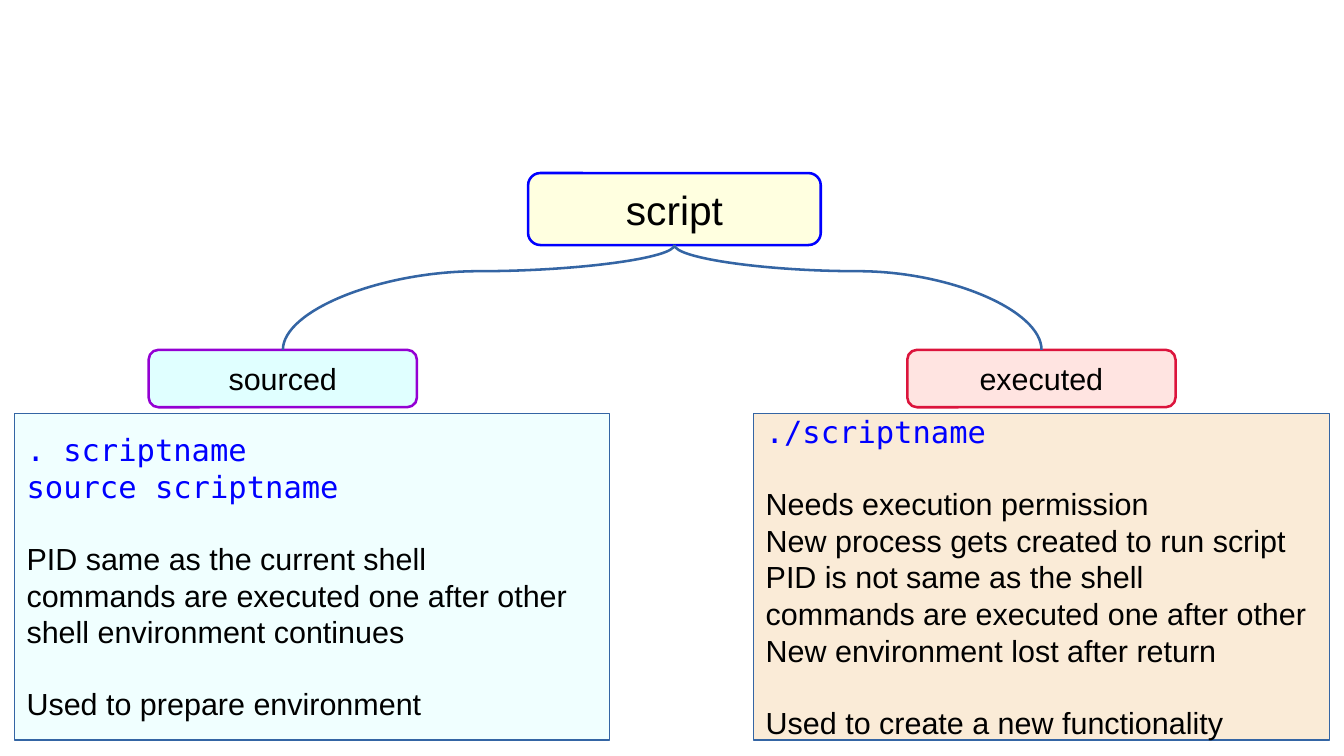
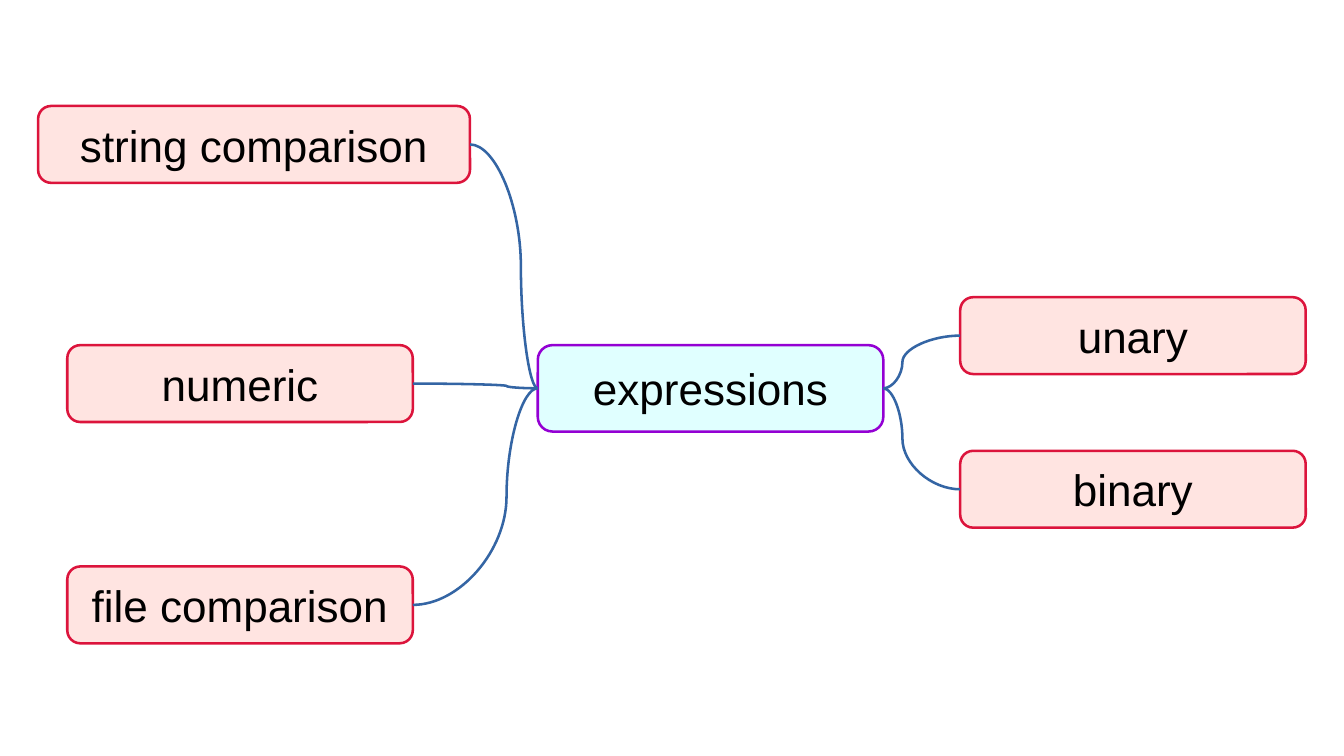
import lxml.etree
import pptx
import pptx.dml.color
import pptx.enum.shapes
import pptx.enum.text
import pptx.oxml.ns
import pptx.util

Pt = pptx.util.Pt
RGBColor = pptx.dml.color.RGBColor
SHAPES = pptx.enum.shapes.MSO_SHAPE
ALIGN = pptx.enum.text.PP_ALIGN
qn = pptx.oxml.ns.qn

BLACK = RGBColor(0x00, 0x00, 0x00)
BLUE = RGBColor(0x00, 0x00, 0xFF)
STEEL = RGBColor(0x34, 0x65, 0xA4)
VIOLET = RGBColor(0x94, 0x00, 0xD3)
CRIMSON = RGBColor(0xDC, 0x14, 0x3C)
YELLOW = RGBColor(0xFF, 0xFF, 0xE0)
CYAN = RGBColor(0xE0, 0xFF, 0xFF)
ROSE = RGBColor(0xFF, 0xE4, 0xE1)
AZURE = RGBColor(0xF0, 0xFF, 0xFF)
LINEN = RGBColor(0xFA, 0xEB, 0xD7)

SANS = "Arial"
MONO = "DejaVu Sans Mono"
PANEL_SIZE = 18
BLANK_LINE = 21
TOP, LEFT, BOTTOM, RIGHT = range(4)
QUARTER_TURNS = {
    0: lambda x, y: (x, y),
    90: lambda x, y: (y, -x),
    180: lambda x, y: (-x, -y),
    270: lambda x, y: (-y, x),
}


def add_box(page, kind, place, fill, line, width):
    box = page.shapes.add_shape(kind, *map(Pt, place))
    box.shadow.inherit = False
    box.fill.solid()
    box.fill.fore_color.rgb = fill
    box.line.color.rgb = line
    box.line.width = Pt(width)
    box.text_frame.word_wrap = True
    box.text_frame.vertical_anchor = pptx.enum.text.MSO_ANCHOR.MIDDLE
    return box


def style(para, font, size, color, align):
    para.alignment = align
    para.font.name = font
    para.font.size = Pt(size)
    para.font.color.rgb = color


def add_node(page, text, place, size, fill, line):
    box = add_box(page, SHAPES.ROUNDED_RECTANGLE, place, fill, line, 1.5)
    box.adjustments[0] = 0.17
    frame = box.text_frame
    frame.margin_left = frame.margin_right = Pt(8)
    frame.margin_top = frame.margin_bottom = Pt(4.3)
    frame.text = text
    style(frame.paragraphs[0], SANS, size, BLACK, ALIGN.CENTER)
    return box


def add_panel(page, place, fill, commands, facts, purpose):
    box = add_box(page, SHAPES.RECTANGLE, place, fill, STEEL, 0)
    frame = box.text_frame
    frame.text = "\n".join([*commands, *facts, purpose])
    for index, para in enumerate(frame.paragraphs):
        is_command = index < len(commands)
        style(para, MONO if is_command else SANS, PANEL_SIZE,
              BLUE if is_command else BLACK, ALIGN.LEFT)
        if index in (len(commands), len(commands) + len(facts)):
            para.space_before = Pt(BLANK_LINE)


def side_middle(box, side):
    across = {LEFT: 0, RIGHT: 1}.get(side, 0.5)
    down = {TOP: 0, BOTTOM: 1}.get(side, 0.5)
    return box.left + box.width * across, box.top + box.height * down


def add_branch(page, root, root_side, leaf, leaf_side, turn):
    start_x, start_y = side_middle(root, root_side)
    end_x, end_y = side_middle(leaf, leaf_side)
    middle_x, middle_y = (start_x + end_x) / 2, (start_y + end_y) / 2
    half_x, half_y = QUARTER_TURNS[turn]((end_x - start_x) / 2, (end_y - start_y) / 2)
    curve = page.shapes.add_connector(pptx.enum.shapes.MSO_CONNECTOR.CURVE, 0, 0, 0, 0)
    curve.begin_connect(root, root_side)
    curve.end_connect(leaf, leaf_side)
    curve.begin_x, curve.begin_y = int(middle_x - half_x), int(middle_y - half_y)
    curve.end_x, curve.end_y = int(middle_x + half_x), int(middle_y + half_y)
    curve.line.color.rgb = STEEL
    curve.line.width = Pt(1.5)
    properties = curve.element.spPr
    properties.find(qn("a:xfrm")).set("rot", str(turn * 60000))
    guides = properties.find(qn("a:prstGeom")).find(qn("a:avLst"))
    lxml.etree.SubElement(guides, qn("a:gd"), name="adj1", fmla="val 25000")
    lxml.etree.SubElement(properties, qn("a:effectLst"))


def build_script_page(page):
    script = add_node(page, "script", (311.8, 102.2, 172.8, 42.5), 24, YELLOW, BLUE)
    sourced = add_node(page, "sourced", (87.8, 206.6, 158.4, 33.9), 18, CYAN, VIOLET)
    executed = add_node(page, "executed", (535.7, 206.6, 158.4, 33.9), 18, ROSE, CRIMSON)
    add_panel(page, (8.6, 244, 351.4, 193), AZURE,
              [". scriptname", "source scriptname"],
              ["PID same as the current shell",
               "commands are executed one after other",
               "shell environment continues"],
              "Used to prepare environment")
    add_panel(page, (445, 244, 339.8, 193), LINEN,
              ["./scriptname"],
              ["Needs execution permission",
               "New process gets created to run script",
               "PID is not same as the shell",
               "commands are executed one after other",
               "New environment lost after return"],
              "Used to create a new functionality")
    add_branch(page, script, BOTTOM, sourced, TOP, 90)
    add_branch(page, script, BOTTOM, executed, TOP, 270)


def build_expressions_page(page):
    size, width, height = 26, 204, 45.4
    root = add_node(page, "expressions", (317.5, 203.8, width, 51), size, CYAN, VIOLET)
    operands = [("string comparison", 22.5, 62.6, 255),
                ("numeric", 39.7, 203.8, width),
                ("file comparison", 39.7, 334.5, width)]
    for text, left, top, node_width in operands:
        leaf = add_node(page, text, (left, top, node_width, height), size, ROSE, CRIMSON)
        add_branch(page, root, LEFT, leaf, RIGHT, 180)
    for text, top in [("unary", 175.5), ("binary", 266.2)]:
        leaf = add_node(page, text, (566.9, top, width, height), size, ROSE, CRIMSON)
        add_branch(page, root, RIGHT, leaf, LEFT, 0)


def main():
    deck = pptx.Presentation()
    deck.slide_width, deck.slide_height = Pt(793.5), Pt(446.4)
    blank = deck.slide_layouts[6]
    for build in (build_script_page, build_expressions_page):
        build(deck.slides.add_slide(blank))
    deck.save("out.pptx")


if __name__ == "__main__":
    main()
